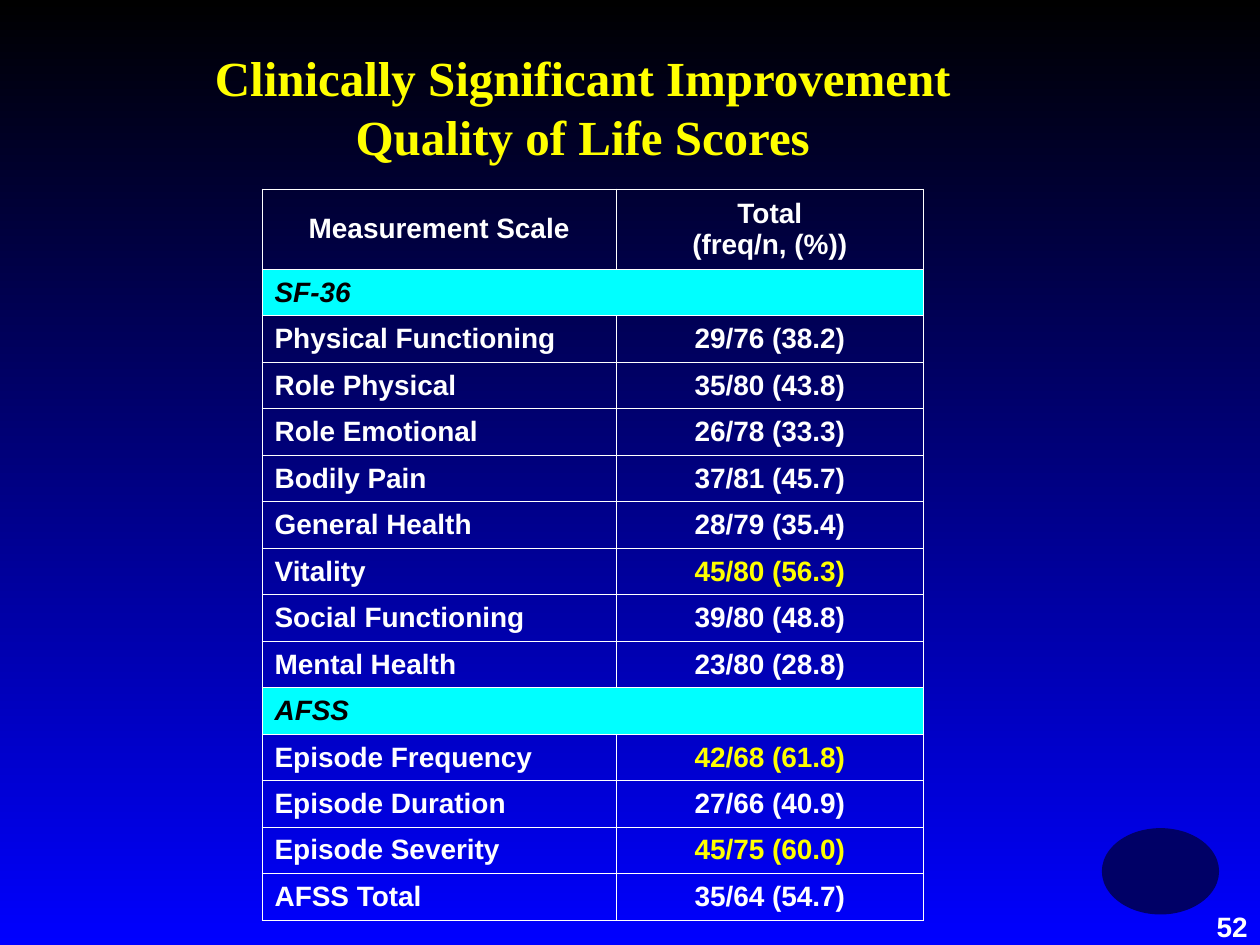
from pptx import Presentation
from pptx.dml.color import RGBColor
from pptx.enum.shapes import MSO_SHAPE
from pptx.enum.text import MSO_ANCHOR, PP_ALIGN
from pptx.oxml import parse_xml
from pptx.oxml.ns import nsdecls
from pptx.util import Inches, Pt

WIDTH, HEIGHT = Inches(10), Inches(7.5)
BLACK = RGBColor(0, 0, 0)
BLUE = RGBColor(0, 0, 255)
NAVY = RGBColor(0, 0, 102)
WHITE = RGBColor(255, 255, 255)
YELLOW = RGBColor(255, 255, 0)
CYAN = RGBColor(0, 255, 255)

BODY = {"name": "Arial", "size": Pt(16), "bold": True, "italic": False}
TITLE = {"name": "Times New Roman", "size": Pt(28), "bold": True}

HEADER = ("Measurement Scale", "Total\v(freq/n, (%))")
SECTIONS = {
    "SF-36": [
        ("Physical Functioning", "29/76 (38.2)"),
        ("Role Physical", "35/80 (43.8)"),
        ("Role Emotional", "26/78 (33.3)"),
        ("Bodily Pain", "37/81 (45.7)"),
        ("General Health", "28/79 (35.4)"),
        ("Vitality", "45/80 (56.3)"),
        ("Social Functioning", "39/80 (48.8)"),
        ("Mental Health", "23/80 (28.8)"),
    ],
    "AFSS": [
        ("Episode Frequency", "42/68 (61.8)"),
        ("Episode Duration", "27/66 (40.9)"),
        ("Episode Severity", "45/75 (60.0)"),
        ("AFSS Total", "35/64 (54.7)"),
    ],
}
HIGHLIGHTS = {"45/80 (56.3)", "42/68 (61.8)", "45/75 (60.0)"}
COLUMN_WIDTHS = (0.281, 0.244)
HEADER_HEIGHT, ROW_HEIGHT = 0.085, 0.0492


def area(left, top, width, height):
    return (int(left * WIDTH), int(top * HEIGHT),
            int(width * WIDTH), int(height * HEIGHT))


def write(frame, text, color, align, formats):
    para = frame.paragraphs[0]
    para.text = text
    para.alignment = align
    for span in para.runs:
        for name, value in formats.items():
            setattr(span.font, name, value)
        span.font.color.rgb = color


def add_background(page):
    fill = page.background.fill
    fill.gradient()
    fill.gradient_angle = 270
    for stop, color in zip(fill.gradient_stops, (BLACK, BLUE)):
        stop.color.rgb = color


def add_ellipse(page, place):
    ellipse = page.shapes.add_shape(MSO_SHAPE.OVAL, *area(*place))
    ellipse.shadow.inherit = False
    ellipse.fill.solid()
    ellipse.fill.fore_color.rgb = NAVY
    ellipse.line.color.rgb = NAVY
    ellipse.line.width = Pt(0.75)


def add_text(page, place, text, color, align, formats):
    box = page.shapes.add_textbox(*area(*place))
    box.text_frame.word_wrap = True
    write(box.text_frame, text, color, align, formats)


def add_borders(cell):
    properties = cell._tc.get_or_add_tcPr()
    for index, side in enumerate(("lnL", "lnR", "lnT", "lnB")):
        border = parse_xml(
            f'<a:{side} {nsdecls("a")} w="{Pt(0.45)}"><a:solidFill>'
            f'<a:srgbClr val="{WHITE}"/></a:solidFill></a:{side}>')
        properties.insert(index, border)


def fill_cell(cell, text, color=WHITE, align=PP_ALIGN.CENTER, **formats):
    cell.vertical_anchor = MSO_ANCHOR.MIDDLE
    write(cell.text_frame, text, color, align, BODY | formats)


def add_scores(page, left, top):
    rows = [HEADER]
    for section, scores in SECTIONS.items():
        rows += [(section,), *scores]
    height = HEADER_HEIGHT + ROW_HEIGHT * (len(rows) - 1)
    place = area(left, top, sum(COLUMN_WIDTHS), height)
    table = page.shapes.add_table(len(rows), len(COLUMN_WIDTHS), *place).table
    table.first_row = table.horz_banding = False
    for column, share in zip(table.columns, COLUMN_WIDTHS):
        column.width = int(share * WIDTH)
    for index, (row, texts) in enumerate(zip(table.rows, rows)):
        share = ROW_HEIGHT if index else HEADER_HEIGHT
        row.height = int(share * HEIGHT)
        for cell in row.cells:
            cell.fill.background()
            add_borders(cell)
        label, score = row.cells[0], row.cells[1]
        if len(texts) == 1:
            label.merge(score)
            label.fill.solid()
            label.fill.fore_color.rgb = CYAN
            fill_cell(label, texts[0], BLACK, PP_ALIGN.LEFT, italic=True)
        else:
            align = PP_ALIGN.LEFT if index else PP_ALIGN.CENTER
            fill_cell(label, texts[0], align=align)
            color = YELLOW if texts[1] in HIGHLIGHTS else WHITE
            fill_cell(score, texts[1], color)


def main():
    deck = Presentation()
    deck.slide_width, deck.slide_height = WIDTH, HEIGHT
    page = deck.slides.add_slide(deck.slide_layouts[6])
    add_background(page)
    add_ellipse(page, (0.875, 0.877, 0.092, 0.09))
    add_scores(page, 0.208, 0.2)
    add_text(page, (0.1, 0.044, 0.725, 0.139),
             "Clinically Significant Improvement Quality of Life Scores",
             YELLOW, PP_ALIGN.CENTER, TITLE)
    add_text(page, (0.933, 0.956, 0.067, 0.067), "52",
             WHITE, PP_ALIGN.RIGHT, BODY)
    deck.save("out.pptx")


if __name__ == "__main__":
    main()
